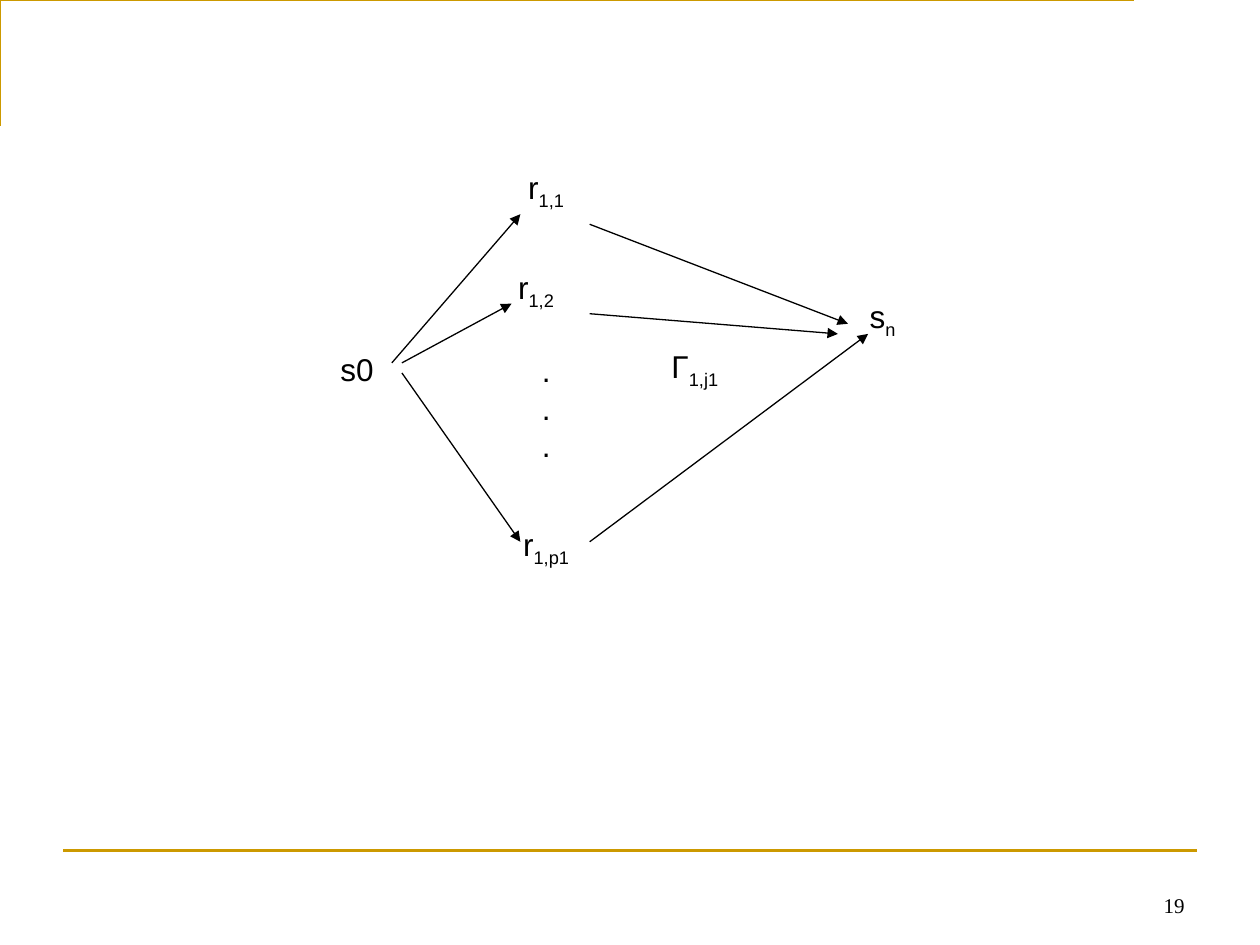
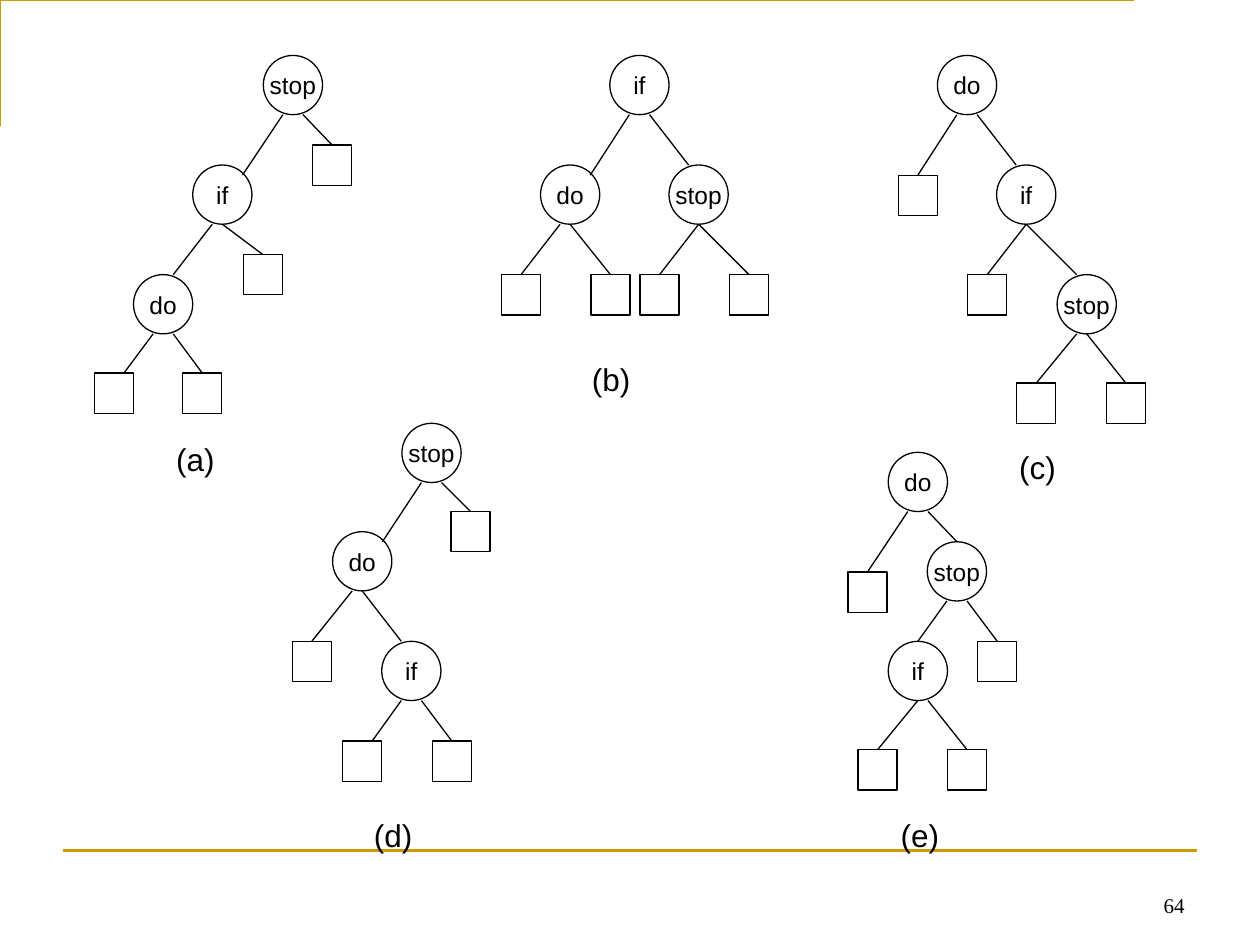
from lxml.etree import SubElement
from pptx import Presentation
from pptx.dml.color import RGBColor
from pptx.enum.shapes import MSO_CONNECTOR, MSO_SHAPE
from pptx.enum.text import MSO_ANCHOR, PP_ALIGN
from pptx.oxml.ns import qn
from pptx.util import Inches, Pt

COLORS = {"gold": "CC9900", "black": "000000"}


def write_text(shape, text, size=18, font="Arial", align=PP_ALIGN.CENTER,
               anchor=MSO_ANCHOR.MIDDLE, wrap=False):
    """Fill a shape with text; what follows an underscore is a subscript."""
    frame = shape.text_frame
    frame.word_wrap = wrap
    frame.vertical_anchor = anchor
    for number, line in enumerate(text.split("\n")):
        paragraph = frame.add_paragraph() if number else frame.paragraphs[0]
        paragraph.alignment = align
        for part_number, part in enumerate(line.split("_")):
            run = paragraph.add_run()
            run.text = part
            run.font.size = Pt(size)
            run.font.name = font
            run.font.color.rgb = RGBColor.from_string(COLORS["black"])
            if part_number:
                run.font._element.set("baseline", "-25000")


def draw_line(slide, start, end, color="black", width=0.75, arrow=False):
    points = [Inches(value) for value in (*start, *end)]
    connector = slide.shapes.add_connector(MSO_CONNECTOR.STRAIGHT, *points)
    connector.line.width = Pt(width)
    connector.line.color.rgb = RGBColor.from_string(COLORS[color])
    if arrow:
        SubElement(connector.line._get_or_add_ln(), qn("a:tailEnd"), type="triangle")
    SubElement(connector._element.spPr, qn("a:effectLst"))
    return connector


presentation = Presentation()
presentation.slide_width = Inches(10)
presentation.slide_height = Inches(7.5)

# Shared frame: gold corner, bottom rule and page number
slides = []
for page_number in ("19", "64"):
    slide = presentation.slides.add_slide(presentation.slide_layouts[6])
    builder = slide.shapes.build_freeform(0.42, 0.92, scale=Inches(1))
    builder.add_line_segments([(0.42, 0.25), (9.42, 0.25)], close=False)
    corner = builder.convert_to_shape()
    corner.shadow.inherit = False
    corner.fill.background()
    corner.line.width = Pt(1.5)
    corner.line.color.rgb = RGBColor.from_string(COLORS["gold"])
    draw_line(slide, (0.5, 6.75), (9.5, 6.75), color="gold", width=1.5)
    page_box = slide.shapes.add_textbox(Inches(7.17), Inches(6.83), Inches(2.33), Inches(0.5))
    write_text(page_box, page_number, size=12, font="Times New Roman",
               align=PP_ALIGN.RIGHT, anchor=MSO_ANCHOR.BOTTOM, wrap=True)
    slides.append(slide)
graph_slide, tree_slide = slides

# Slide 1: state labels
STATE_SIZE = 0.55
states = [
    ("s0", 2.56, 2.65),
    ("r_1,1", 4.06, 1.23),
    ("r_1,2", 3.98, 2.02),
    (".\n.\n.", 4.06, 2.96),
    ("r_1,p1", 4.06, 4.06),
    ("s_n", 6.73, 2.25),
    ("Γ_1,j1", 5.24, 2.65),
]
for text, left, top in states:
    state = graph_slide.shapes.add_shape(MSO_SHAPE.OVAL, Inches(left), Inches(top),
                                         Inches(STATE_SIZE), Inches(STATE_SIZE))
    state.shadow.inherit = False
    state.fill.background()
    state.line.fill.background()
    write_text(state, text)

# Slide 1: arrows from s0 to each r, and from each r to sn
arrows = [
    ((3.11, 2.88), (4.13, 1.70)),
    ((3.19, 2.88), (4.06, 2.41)),
    ((3.19, 2.96), (4.13, 4.30)),
    ((4.68, 1.78), (6.73, 2.57)),
    ((4.68, 4.30), (6.89, 2.65)),
    ((4.68, 2.49), (6.65, 2.65)),
]
for start, end in arrows:
    draw_line(graph_slide, start, end, arrow=True)

# Slide 2: search trees
NODE_SIZE = 0.47
LEAF_WIDTH, LEAF_HEIGHT = 0.31, 0.32
NUDGE = 0.08

# Each tree: caption, caption position, inner nodes, edges.
# An edge has a parent, a child (node name or leaf position) and the nudges
# of its two ends from the middle of the parent's bottom and the child's top.
trees = [
    ("(a)", (1.30, 3.44),
     {"stop": (2.09, 0.44), "if": (1.53, 1.31), "do": (1.06, 2.18)},
     [("stop", "if", -1, 2), ("stop", (2.48, 1.15), 1, 0),
      ("if", "do", -1, 1), ("if", (1.93, 2.02), 0, 0),
      ("do", (0.75, 2.96), -1, 1), ("do", (1.45, 2.96), 1, 0)]),
    ("(b)", (4.60, 2.81),
     {"if": (4.84, 0.44), "do": (4.29, 1.31), "stop": (5.31, 1.31)},
     [("if", "do", -1, 2), ("if", "stop", 1, -1),
      ("do", (3.98, 2.18), -1, 0), ("do", (4.69, 2.18), 0, 0),
      ("stop", (5.08, 2.18), 0, 0), ("stop", (5.79, 2.18), 0, 0)]),
    ("(c)", (7.99, 3.51),
     {"do": (7.44, 0.44), "if": (7.91, 1.31), "stop": (8.39, 2.18)},
     [("do", (7.13, 1.39), -1, 0), ("do", "if", 1, -1),
      ("if", (7.68, 2.18), 0, 0), ("if", "stop", 0, -1),
      ("stop", (8.07, 3.04), -1, 0), ("stop", (8.78, 3.04), 0, 0)]),
    ("(d)", (2.87, 6.43),
     {"stop": (3.19, 3.36), "do": (2.64, 4.22), "if": (3.03, 5.09)},
     [("stop", "do", -1, 2), ("stop", (3.58, 4.06), 1, 0),
      ("do", (2.32, 5.09), -1, 0), ("do", "if", 0, -1),
      ("if", (2.72, 5.88), -1, 1), ("if", (3.43, 5.88), 1, 0)]),
    ("(e)", (7.05, 6.43),
     {"do": (7.05, 3.59), "stop": (7.36, 4.30), "if": (7.05, 5.09)},
     [("do", (6.73, 4.54), -1, 0), ("do", "stop", 1, 0),
      ("stop", "if", -1, 0), ("stop", (7.76, 5.09), 1, 0),
      ("if", (6.81, 5.95), 0, 0), ("if", (7.52, 5.95), 1, 0)]),
]

for caption, (caption_left, caption_top), nodes, edges in trees:
    # Circles for words, squares for leaves
    leaves = [child for _, child, _, _ in edges if child not in nodes]
    circles = [(MSO_SHAPE.OVAL, position, NODE_SIZE, NODE_SIZE, word)
               for word, position in nodes.items()]
    squares = [(MSO_SHAPE.RECTANGLE, position, LEAF_WIDTH, LEAF_HEIGHT, "")
               for position in leaves]
    leaf_shapes = {}
    for kind, position, width, height, word in circles + squares:
        left, top = position
        shape = tree_slide.shapes.add_shape(kind, Inches(left), Inches(top),
                                            Inches(width), Inches(height))
        shape.shadow.inherit = False
        shape.fill.background()
        shape.line.width = Pt(0.75)
        shape.line.color.rgb = RGBColor.from_string(COLORS["black"])
        if word:
            write_text(shape, word, size=14)
        else:
            leaf_shapes[position] = shape

    # Edges
    for parent, child, start_nudge, end_nudge in edges:
        parent_left, parent_top = nodes[parent]
        child_left, child_top = nodes.get(child, child)
        child_width = NODE_SIZE if child in nodes else LEAF_WIDTH
        start = (parent_left + NODE_SIZE / 2 + start_nudge * NUDGE, parent_top + NODE_SIZE)
        # A double nudge meets the circle lower on its side
        drop = NUDGE if end_nudge == 2 else 0
        end = (child_left + child_width / 2 + end_nudge * NUDGE, child_top + drop)
        edge = draw_line(tree_slide, start, end)
        if child in leaf_shapes and end_nudge == 0:
            edge.end_connect(leaf_shapes[child], 0)

    # Caption
    caption_box = tree_slide.shapes.add_textbox(Inches(caption_left), Inches(caption_top),
                                                Inches(1.1), Inches(0.4))
    write_text(caption_box, caption, align=PP_ALIGN.LEFT, anchor=MSO_ANCHOR.TOP, wrap=True)

presentation.save("out.pptx")
